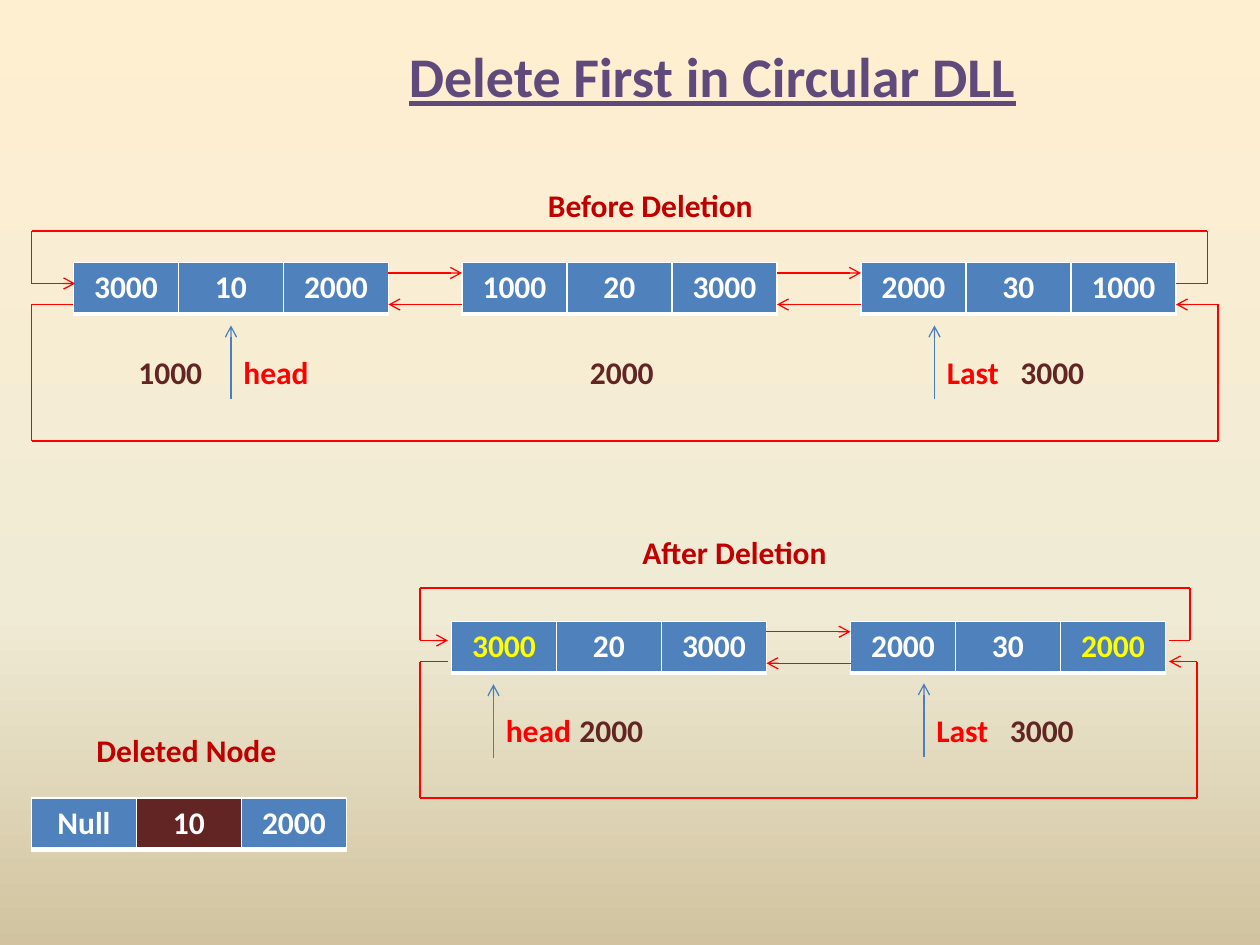
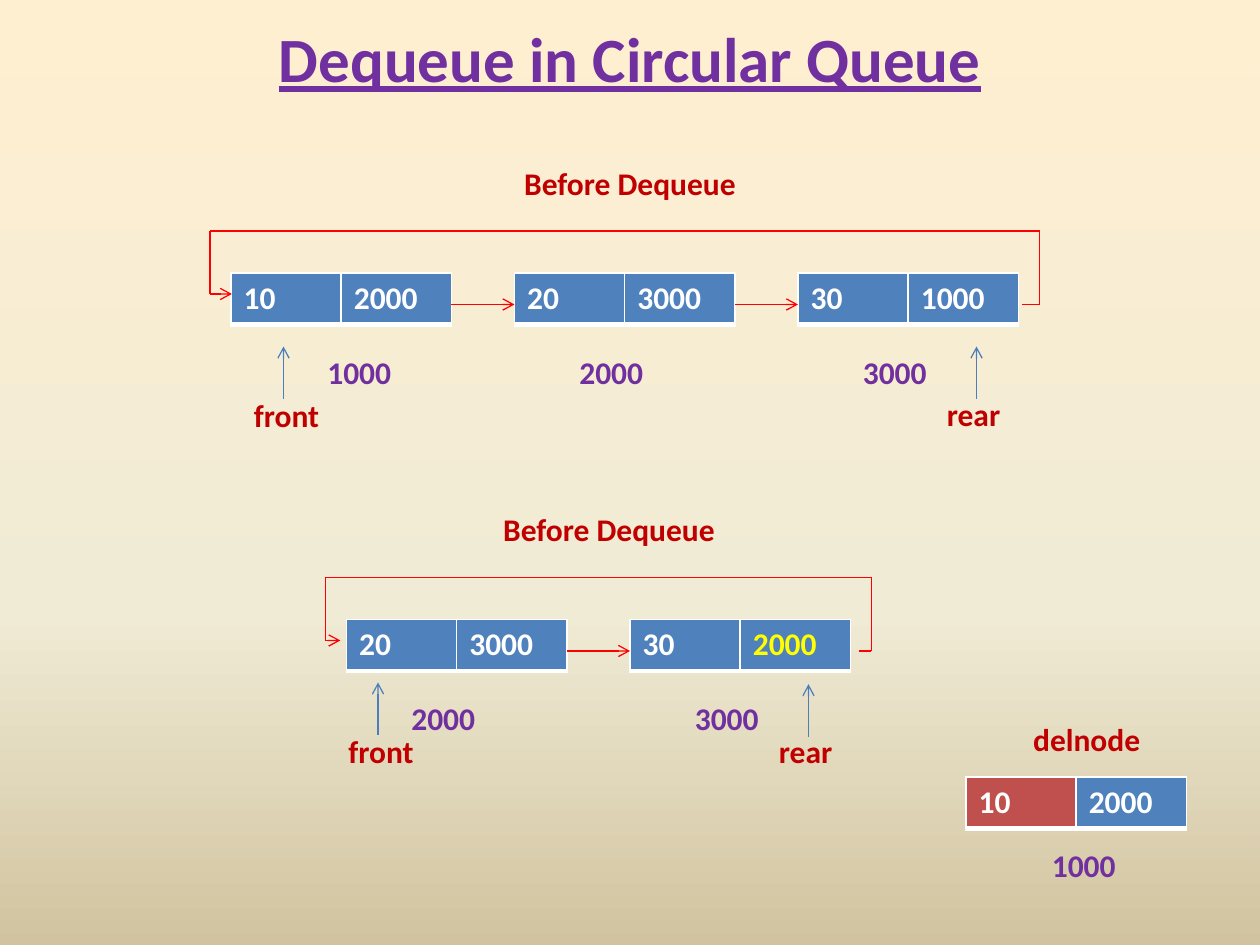
"""Build two slides on deletion in circular linked lists and queues."""
import copy

import pptx
import pptx.dml.color
import pptx.enum.dml
import pptx.enum.shapes
import pptx.enum.text
import pptx.oxml
import pptx.oxml.ns
import pptx.util

Pt = pptx.util.Pt
RGB = pptx.dml.color.RGBColor
qn = pptx.oxml.ns.qn
ALIGN = pptx.enum.text.PP_ALIGN

WHITE = RGB(0xFF, 0xFF, 0xFF)
RED = RGB(0xFF, 0x00, 0x00)
CRIMSON = RGB(0xC0, 0x00, 0x00)
MAROON = RGB(0x63, 0x25, 0x23)
BRICK = RGB(0xC0, 0x50, 0x4D)
BLUE = RGB(0x4F, 0x81, 0xBD)
POINTER_BLUE = RGB(0x4B, 0x7E, 0xBC)
YELLOW = RGB(0xFF, 0xFF, 0x00)
PURPLE = RGB(0x70, 0x30, 0xA0)
VIOLET = RGB(0x60, 0x4A, 0x7B)
BACKGROUND = [(0, RGB(0xFF, 0xEF, 0xD1)), (0.65, RGB(0xF0, 0xEB, 0xD5)), (1, RGB(0xD1, 0xC3, 0x9F))]
BORDERS = {"lnL": 1, "lnR": 1, "lnT": 1, "lnB": 3}


class Deck:
    """Holds the shared style and the current slide."""

    font = {"name": "Calibri", "size": Pt(18), "bold": True}

    def __init__(self):
        self.prs = pptx.Presentation()
        self.prs.slide_width, self.prs.slide_height = Pt(720), Pt(540)
        self.slide = None
        master = self.prs.slide_master
        fill = master.background.fill
        fill.gradient()
        fill.gradient_angle = 270
        stops = master.element.find(".//" + qn("a:gsLst"))
        stops.append(copy.deepcopy(stops[-1]))
        for stop, (position, color) in zip(fill.gradient_stops, BACKGROUND):
            stop.position, stop.color.rgb = position, color

    def add_text(self, tf, text, color, align=ALIGN.LEFT, **extra):
        p = tf.paragraphs[0]
        p.alignment = align
        r = p.add_run()
        r.text = text
        for key, value in {**self.font, **extra}.items():
            setattr(r.font, key, value)
        r.font.color.rgb = color

    def new_slide(self, title, x, y, width, height, size, color):
        self.slide = self.prs.slides.add_slide(self.prs.slide_layouts[5])
        sp = self.slide.shapes.title
        sp.left, sp.top, sp.width, sp.height = Pt(x), Pt(y), Pt(width), Pt(height)
        sp.text_frame.vertical_anchor = pptx.enum.text.MSO_ANCHOR.MIDDLE
        self.add_text(sp.text_frame, title, color, ALIGN.CENTER, size=Pt(size), underline=True)

    def label(self, text, x, y, color, width=66, align=ALIGN.LEFT):
        sp = self.slide.shapes.add_textbox(Pt(x), Pt(y), Pt(width), Pt(29))
        tf = sp.text_frame
        tf.word_wrap = True
        tf.auto_size = pptx.enum.text.MSO_AUTO_SIZE.SHAPE_TO_FIT_TEXT
        self.add_text(tf, text, color, align)

    def node(self, x, y, values, width, align=ALIGN.LEFT, changed=None, removed=None, removed_fill=BRICK):
        n = len(values)
        table = self.slide.shapes.add_table(1, n, Pt(x), Pt(y), Pt(width * n), Pt(29.5)).table
        for i, value in enumerate(values):
            table.columns[i].width = Pt(width)
            cell = table.cell(0, i)
            cell.fill.solid()
            cell.fill.fore_color.rgb = removed_fill if i == removed else BLUE
            self.add_text(cell.text_frame, value, YELLOW if i == changed else WHITE, align)
            self.border(cell)

    def border(self, cell):
        tcPr = cell._tc.get_or_add_tcPr()
        for i, (tag, weight) in enumerate(BORDERS.items()):
            tcPr.insert(i, pptx.oxml.parse_xml(
                f'<a:{tag} {pptx.oxml.ns.nsdecls("a")} w="{Pt(weight)}"><a:solidFill>'
                f'<a:srgbClr val="{WHITE}"/></a:solidFill></a:{tag}>'))

    def line(self, start, end, color=RED, arrow=True):
        sp = self.slide.shapes.add_connector(
            pptx.enum.shapes.MSO_CONNECTOR.STRAIGHT, *map(Pt, start), *map(Pt, end))
        sp.line.color.rgb = color
        sp.line.width = Pt(0.75)
        spPr = sp._element.spPr
        if arrow:
            tail = spPr.find(qn("a:ln")).makeelement(qn("a:tailEnd"), {"type": "arrow"})
            spPr.find(qn("a:ln")).append(tail)
        spPr.append(spPr.makeelement(qn("a:effectLst"), {}))

    def pointer(self, x, tip, length):
        self.line((x, tip + length), (x, tip), POINTER_BLUE)

    def loop(self, start, first_x, edge_y, last_x, end):
        points = [start, (first_x, start[1]), (first_x, edge_y),
                  (last_x, edge_y), (last_x, end[1]), end]
        for i, (a, b) in enumerate(zip(points, points[1:])):
            self.line(a, b, arrow=i == 4)


def double_list(deck, y, nodes):
    for x, values, changed in nodes:
        deck.node(x, y, values, 60, ALIGN.CENTER, changed)
    for (x, *_), (next_x, *_) in zip(nodes, nodes[1:]):
        deck.line((x + 180, y + 6), (next_x, y + 6))
        deck.line((next_x, y + 24), (x + 180, y + 24))


def queue(deck, y, nodes):
    for x, values, changed in nodes:
        deck.node(x, y, values, 63, changed=changed)
    for (x, *_), (next_x, *_) in zip(nodes, nodes[1:]):
        deck.line((x + 126, y + 18), (next_x, y + 18))


def delete_first_slide(deck):
    deck.new_slide("Delete First in Circular DLL", 137, 18, 540, 50, 32, VIOLET)
    for text, x, y in [("Before Deletion", 306, 103), ("After Deletion", 360, 301), ("Deleted Node", 48, 414)]:
        deck.label(text, x, y, CRIMSON, 168)

    double_list(deck, 150, [(42, ["3000", "10", "2000"], None),
                            (264, ["1000", "20", "3000"], None),
                            (492, ["2000", "30", "1000"], None)])
    deck.loop((672, 162), 690, 132, 18, (43, 162))
    deck.loop((42, 174), 18, 252, 696, (672, 174))

    double_list(deck, 355, [(258, ["3000", "20", "3000"], 0),
                            (486, ["2000", "30", "2000"], 2)])
    deck.loop((668, 366), 680, 336, 240, (256, 366))
    deck.loop((256, 378), 240, 456, 684, (668, 378))

    for text, x, y in [("head", 132, 198), ("Last", 534, 198), ("head", 282, 403), ("Last", 528, 402.5)]:
        deck.pointer(x, y - 12, 42)
        deck.label(text, x, y, RED, 60)
    for text, x, y in [("1000", 72, 198), ("2000", 330, 198), ("3000", 576, 198),
                       ("2000", 324, 403), ("3000", 570, 403)]:
        deck.label(text, x, y, MAROON, 60)
    deck.node(18, 456, ["Null", "10", "2000"], 60, ALIGN.CENTER, removed=1, removed_fill=MAROON)


def dequeue_slide(deck):
    deck.new_slide("Dequeue in Circular Queue", 36, -12, 648, 90, 36, PURPLE)
    for text, x, y, width in [("Before Dequeue", 240, 90, 240), ("Before Dequeue", 228, 288, 240),
                              ("delnode", 558, 408, 126)]:
        deck.label(text, x, y, CRIMSON, width, ALIGN.CENTER)

    queue(deck, 156, [(132, ["10", "2000"], None),
                      (294, ["20", "3000"], None),
                      (456, ["30", "1000"], None)])
    deck.loop((584, 174), 594, 132, 120, (132.5, 168))

    queue(deck, 354, [(198, ["20", "3000"], None), (360, ["30", "2000"], 1)])
    deck.loop((491, 372), 498, 330, 186, (194.5, 366))

    for x, tip in [(162, 198), (558, 198), (216, 390), (462, 391)]:
        deck.pointer(x, tip, 30)
    for text, x, y in [("front", 138, 223), ("rear", 534, 222), ("front", 192, 415), ("rear", 438, 415)]:
        deck.label(text, x, y, CRIMSON)
    for text, x, y in [("1000", 180, 198), ("2000", 324, 198), ("3000", 486, 198),
                       ("2000", 228, 396), ("3000", 390, 396), ("1000", 594, 480)]:
        deck.label(text, x, y, PURPLE)
    deck.node(552, 444, ["10", "2000"], 63, removed=0)


def main():
    deck = Deck()
    delete_first_slide(deck)
    dequeue_slide(deck)
    deck.prs.save("out.pptx")


if __name__ == "__main__":
    main()
